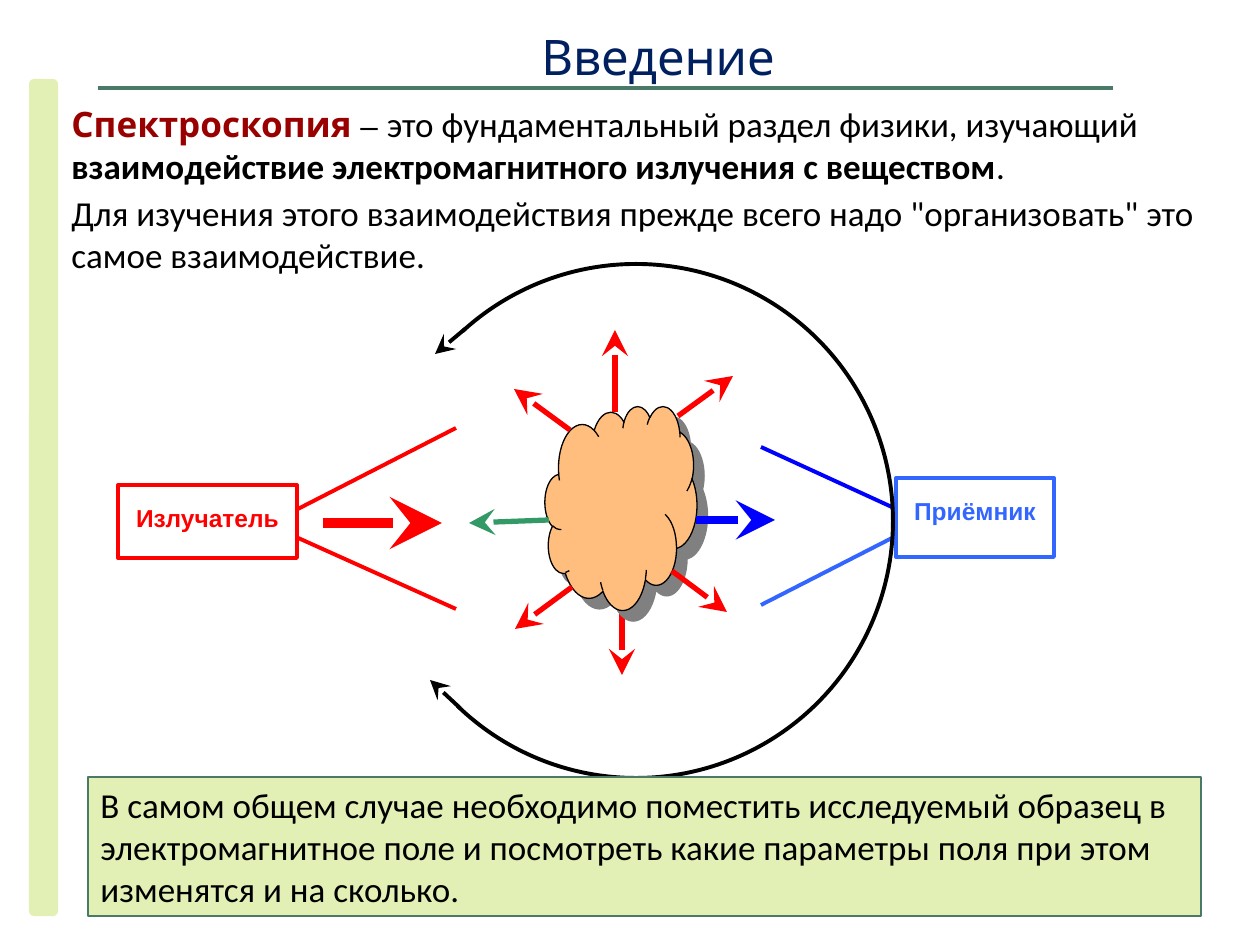
from dataclasses import dataclass

from lxml.etree import SubElement
from pptx import Presentation
from pptx.dml.color import RGBColor
from pptx.enum.shapes import MSO_CONNECTOR, MSO_SHAPE
from pptx.enum.text import MSO_ANCHOR as Anchor, MSO_AUTO_SIZE as AutoSize, PP_ALIGN as Align
from pptx.oxml.ns import qn
from pptx.util import Emu, Pt

PX_PER_INCH = 126
SLIDE_WIDTH, SLIDE_HEIGHT = 1260, 945
BLACK = RGBColor(0x00, 0x00, 0x00)
WHITE = RGBColor(0xFF, 0xFF, 0xFF)
RED = RGBColor(0xFF, 0x00, 0x00)
BLUE = RGBColor(0x00, 0x00, 0xFF)
LIGHT_BLUE = RGBColor(0x33, 0x66, 0xFF)
GREEN = RGBColor(0x33, 0x99, 0x66)
DARK_GREEN = RGBColor(0x4B, 0x79, 0x67)
PALE_GREEN = RGBColor(0xE2, 0xF0, 0xB6)
NAVY = RGBColor(0x00, 0x20, 0x60)
MAROON = RGBColor(0x99, 0x00, 0x00)
PEACH = RGBColor(0xFF, 0xBE, 0x7D)


@dataclass(frozen=True)
class Box:
    left: int
    top: int
    width: int
    height: int


@dataclass(frozen=True)
class Ray:
    x1: int
    y1: int
    x2: int
    y2: int
    color: RGBColor = RED
    weight: float = 3
    arrow: bool = True


@dataclass(frozen=True)
class Phrase:
    text: str
    size: int = 20
    face: str = "Calibri"
    color: RGBColor = BLACK
    bold: bool = False


@dataclass(frozen=True)
class Device:
    box: Box
    label: str
    color: RGBColor


SIDEBAR = Box(29, 79, 29, 837)
SAMPLE = Box(545, 406, 152, 204)
ORBIT = Box(379, 264, 514, 514)
ORBIT_START, ORBIT_END = 227.6, 134
TITLE = Box(256, 20, 804, 72)
DEFINITION = Box(59, 96, 1216, 97)
TASK = Box(59, 185, 1201, 97)
CONCLUSION = Box(88, 777, 1113, 139)
TITLE_RULE = Ray(98, 88, 1113, 88, DARK_GREEN, 2.25, False)

BEAMS = [
    Ray(296, 537, 456, 609, RED, 2.25, False),
    Ray(296, 510, 456, 428, RED, 2.25, False),
    Ray(323, 523, 442, 523, RED, 6),
    Ray(761, 447, 894, 508, BLUE, 2.25, False),
    Ray(761, 605, 894, 537, LIGHT_BLUE, 2.25, False),
    Ray(622, 593, 622, 675),
]
SCATTERED = [
    Ray(678, 416, 733, 376),
    Ray(672, 571, 727, 612),
    Ray(570, 430, 514, 389),
    Ray(615, 412, 615, 330),
    Ray(572, 587, 515, 629),
    Ray(549, 520, 469, 523, GREEN),
    Ray(696, 520, 775, 520, BLUE, 4.5),
]
ORBIT_TIPS = [
    Ray(460, 708, 430, 680, BLACK, 2.25),
    Ray(465, 329, 435, 354, BLACK, 2.25),
]
RECEIVER = Device(Box(896, 478, 158, 79), "Приёмник", LIGHT_BLUE)
EMITTER = Device(Box(118, 485, 179, 73), "Излучатель", RED)


def px(length: int) -> Emu:
    """Turn whole pixels into EMU."""
    return Emu(round(length * 914400 / PX_PER_INCH))


def corners(box: Box) -> tuple:
    """Give a box's position and size in EMU."""
    return px(box.left), px(box.top), px(box.width), px(box.height)


def draw_shape(slide, kind, box: Box, fill=None, line=None, weight: float = 0.75):
    """Draw a preset shape with an optional fill and outline."""
    shape = slide.shapes.add_shape(kind, *corners(box))
    shape.shadow.inherit = False
    if fill is None:
        shape.fill.background()
    else:
        shape.fill.solid()
        shape.fill.fore_color.rgb = fill
    if line is None:
        shape.line.fill.background()
    else:
        shape.line.color.rgb = line
        shape.line.width = Pt(weight)
    return shape


def draw_ray(slide, ray: Ray) -> None:
    """Draw a straight line, with a large stealth head if it is an arrow."""
    connector = slide.shapes.add_connector(
        MSO_CONNECTOR.STRAIGHT, px(ray.x1), px(ray.y1), px(ray.x2), px(ray.y2))
    connector.line.color.rgb = ray.color
    connector.line.width = Pt(ray.weight)
    if ray.arrow:
        SubElement(connector.line._get_or_add_ln(), qn("a:tailEnd"),
                   type="stealth", w="lg", len="lg")
    SubElement(connector._element.spPr, qn("a:effectLst"))


def write(shape, phrases: list[Phrase], align=Align.LEFT) -> None:
    """Write one wrapped paragraph at the top of a shape."""
    frame = shape.text_frame
    frame.word_wrap = True
    frame.vertical_anchor = Anchor.TOP
    paragraph = frame.paragraphs[0]
    paragraph.alignment = align
    for phrase in phrases:
        run = paragraph.add_run()
        run.text = phrase.text
        font = paragraph.font if len(phrases) == 1 else run.font
        font.size = Pt(phrase.size)
        font.name = phrase.face
        font.bold = phrase.bold
        font.color.rgb = phrase.color


def draw_text(slide, box: Box, phrases: list[Phrase], align=Align.LEFT) -> None:
    """Add a text box that grows with its text."""
    text_box = slide.shapes.add_textbox(*corners(box))
    write(text_box, phrases, align)
    text_box.text_frame.auto_size = AutoSize.SHAPE_TO_FIT_TEXT


def draw_device(slide, device: Device) -> None:
    """Draw a labelled instrument box."""
    shape = draw_shape(slide, MSO_SHAPE.RECTANGLE, device.box, WHITE, device.color, 2.25)
    frame = shape.text_frame
    frame.margin_left = frame.margin_right = frame.margin_bottom = 0
    frame.margin_top = px(18)
    write(shape, [Phrase(device.label, 14, "Arial", device.color, True)], Align.CENTER)


def draw_sample(slide) -> None:
    """Draw the sample cloud with a hard grey shadow."""
    cloud = draw_shape(slide, MSO_SHAPE.CLOUD, SAMPLE, PEACH, BLACK)
    effects = cloud._element.spPr.find(qn("a:effectLst"))
    shadow = SubElement(effects, qn("a:outerShdw"), dist=str(Pt(8.5)),
                        dir=str(45 * 60000), algn="ctr", rotWithShape="0")
    SubElement(shadow, qn("a:srgbClr"), val="808080")


def draw_orbit(slide) -> None:
    """Draw the receiver's arc around the sample."""
    arc = draw_shape(slide, MSO_SHAPE.ARC, ORBIT, line=BLACK, weight=2.25)
    arc.adjustments[0] = ORBIT_START * 0.6
    arc.adjustments[1] = ORBIT_END * 0.6


def main() -> None:
    """Build the slide and save it."""
    deck = Presentation()
    deck.slide_width, deck.slide_height = px(SLIDE_WIDTH), px(SLIDE_HEIGHT)
    slide = deck.slides.add_slide(deck.slide_layouts[6])
    draw_shape(slide, MSO_SHAPE.ROUNDED_RECTANGLE, SIDEBAR, PALE_GREEN)
    draw_text(slide, DEFINITION, [
        Phrase("Спектроскопия", face="Quicksand", color=MAROON, bold=True),
        Phrase(" – ", 18, "Arial"),
        Phrase("это фундаментальный раздел физики, изучающий "),
        Phrase("взаимодействие электромагнитного излучения с веществом", bold=True),
        Phrase("."),
    ])
    draw_text(slide, TITLE, [Phrase("Введение", 28, "Quicksand", NAVY)], Align.CENTER)
    draw_text(slide, TASK, [Phrase(
        'Для изучения этого взаимодействия прежде всего надо "организовать" '
        "это самое взаимодействие.")])
    for ray in BEAMS:
        draw_ray(slide, ray)
    draw_device(slide, RECEIVER)
    draw_sample(slide)
    for ray in SCATTERED:
        draw_ray(slide, ray)
    draw_device(slide, EMITTER)
    draw_orbit(slide)
    for tip in ORBIT_TIPS:
        draw_ray(slide, tip)
    conclusion = draw_shape(slide, MSO_SHAPE.RECTANGLE, CONCLUSION, PALE_GREEN, DARK_GREEN)
    write(conclusion, [Phrase(
        "В самом общем случае необходимо поместить исследуемый образец в электромагнитное "
        "поле и посмотреть какие параметры поля при этом изменятся и на сколько.")])
    draw_ray(slide, TITLE_RULE)
    deck.save("out.pptx")


if __name__ == "__main__":
    main()
